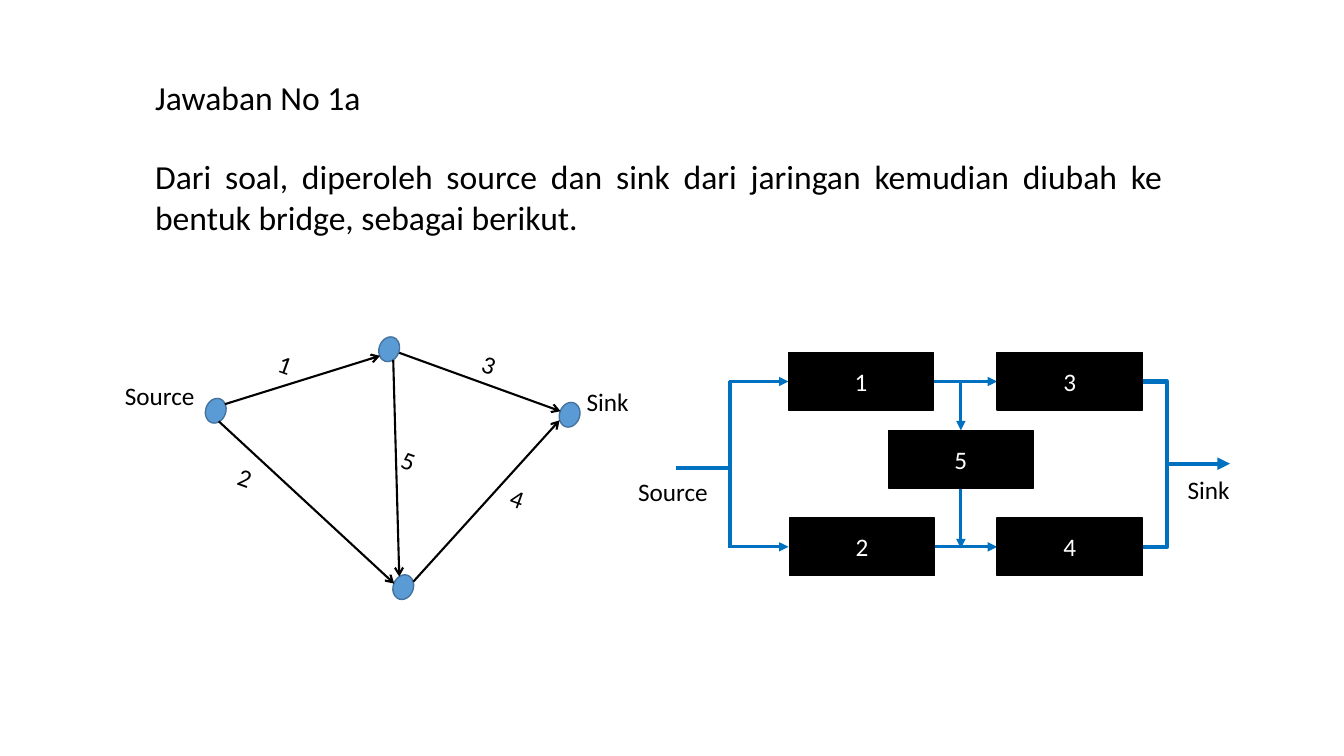
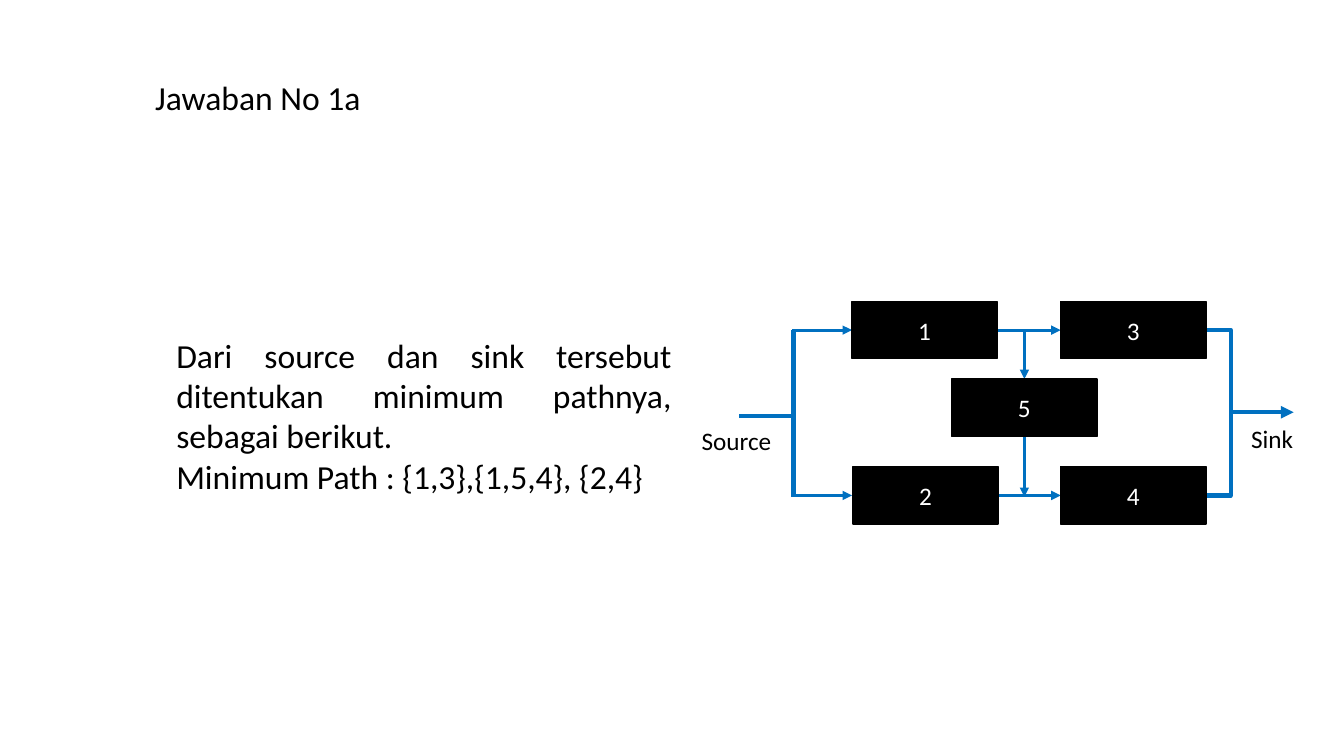
"""Two slides on a network and its bridge form."""
from dataclasses import dataclass

from lxml import etree
from pptx import Presentation
from pptx.dml.color import RGBColor
from pptx.enum.shapes import MSO_CONNECTOR, MSO_SHAPE
from pptx.enum.text import MSO_ANCHOR, MSO_AUTO_SIZE, PP_ALIGN
from pptx.oxml.ns import qn
from pptx.util import Emu, Inches, Pt

STRAIGHT, ELBOW = MSO_CONNECTOR.STRAIGHT, MSO_CONNECTOR.ELBOW
RECTANGLE, OVAL = MSO_SHAPE.RECTANGLE, MSO_SHAPE.OVAL
LEFT, CENTER, JUSTIFY = PP_ALIGN.LEFT, PP_ALIGN.CENTER, PP_ALIGN.JUSTIFY
MIDDLE, GROW = MSO_ANCHOR.MIDDLE, MSO_AUTO_SIZE.SHAPE_TO_FIT_TEXT

SLIDE_WIDTH, SLIDE_HEIGHT = Inches(13.33), Inches(7.5)
GRID_ROWS = 75  # square cells, so the slide is about 133 columns wide
CELL = SLIDE_HEIGHT / GRID_ROWS


@dataclass(frozen=True)
class Theme:
    """Colours, type sizes and line widths of the deck."""
    font: str = "Calibri"
    ink: str = "000000"
    paper: str = "FFFFFF"
    wire: str = "0070C0"
    node: str = "5B9BD5"
    node_edge: str = "43739E"
    body_size: float = 24
    label_size: float = 18
    outline: float = 1
    edge_width: float = 1.5
    wire_width: float = 2.25
    bus_width: float = 3


def cells(*counts):
    """Turn grid counts into slide lengths."""
    return [Emu(round(count * CELL)) for count in counts]


def apply(target, values):
    """Set each named value on the target."""
    for name, value in values.items():
        setattr(target, name, value)


class Deck:
    """Holds the style and the current slide."""

    def __init__(self, theme):
        """Start an empty presentation."""
        self.theme = theme
        self.presentation = Presentation()
        apply(self.presentation, {"slide_width": SLIDE_WIDTH, "slide_height": SLIDE_HEIGHT})
        self.slide = None

    def new_slide(self, title):
        """Add a blank slide with the shared title."""
        self.slide = self.presentation.slides.add_slide(self.presentation.slide_layouts[6])
        self.text((14.4, 7.1, 44.4, 5), [title], self.theme.body_size)

    def fill_frame(self, frame, paragraphs, size, color, align):
        """Fill a text frame with styled paragraphs."""
        frame.text = "\n".join(paragraphs)
        for paragraph in frame.paragraphs:
            paragraph.alignment = align
            apply(paragraph.font, {"name": self.theme.font, "size": Pt(size)})
            paragraph.font.color.rgb = RGBColor.from_string(color)

    def text(self, area, paragraphs, size, align=LEFT, rotation=0):
        """Add a wrapping text box."""
        box = self.slide.shapes.add_textbox(*cells(*area))
        box.rotation = rotation
        apply(box.text_frame, {"word_wrap": True, "auto_size": GROW})
        self.fill_frame(box.text_frame, paragraphs, size, self.theme.ink, align)

    def label(self, left, top, word, width=9.1, rotation=0):
        """Add a small caption."""
        self.text((left, top, width, 4), [word], self.theme.label_size, rotation=rotation)

    def shape(self, kind, area, fill, outline, rotation=0):
        """Add a filled, outlined preset shape."""
        shape = self.slide.shapes.add_shape(kind, *cells(*area))
        shape.rotation = rotation
        shape.shadow.inherit = False
        shape.fill.solid()
        shape.fill.fore_color.rgb = RGBColor.from_string(fill)
        shape.line.color.rgb = RGBColor.from_string(outline)
        shape.line.width = Pt(self.theme.outline)
        return shape

    def block(self, area, word):
        """Add a dark box with a centred number."""
        theme = self.theme
        frame = self.shape(RECTANGLE, area, theme.ink, theme.ink).text_frame
        apply(frame, {"vertical_anchor": MIDDLE, "word_wrap": True})
        self.fill_frame(frame, [word], theme.label_size, theme.paper, CENTER)

    def line(self, ends, color, width, head=None, kind=STRAIGHT):
        """Add a connector, with an arrowhead at its end if one is named."""
        connector = self.slide.shapes.add_connector(kind, *cells(*ends))
        connector.line.color.rgb = RGBColor.from_string(color)
        connector.line.width = Pt(width)
        properties = connector.element.spPr
        if head:
            etree.SubElement(properties.find(qn("a:ln")), qn("a:tailEnd"), type=head)
        etree.SubElement(properties, qn("a:effectLst"))
        return connector

    def bracket(self, left, top, bottom, reach):
        """Join two points on the left by a wire that bulges to the right."""
        step = 0.1
        connector = self.line((left, top, left + step, bottom), self.theme.wire,
                              self.theme.bus_width, kind=ELBOW)
        geometry = connector.element.spPr.find(qn("a:prstGeom"))
        guides = geometry.find(qn("a:avLst"))
        if guides is None:
            guides = etree.SubElement(geometry, qn("a:avLst"))
        etree.SubElement(guides, qn("a:gd"), name="adj1",
                         fmla=f"val {round(reach / step * 100000)}")


def draw_network(deck):
    """Draw the directed network with numbered edges."""
    theme, tilt = deck.theme, 19.9
    for left, top in ((20.4, 39.5), (37.6, 33.4), (55.5, 39.9), (39, 57)):
        deck.shape(OVAL, (left, top, 2, 2.5), theme.node, theme.node_edge, tilt)
    edges = {
        "1": ((22.3, 40.1, 37.7, 35.3), (26.7, 34.2)),
        "2": ((21.7, 41.8, 39.1, 57.9), (22.7, 45.4)),
        "5": ((39, 35.7, 39.6, 57.2), (38.9, 43.7)),
        "3": ((39.6, 35, 55.6, 40.8), (46.9, 34.2)),
        "4": ((41, 57.7, 55.5, 41.7), (49.7, 47.5)),
    }
    for number, (ends, place) in edges.items():
        deck.line(ends, theme.ink, theme.edge_width, "arrow")
        deck.label(*place, number, 3.7, tilt)
    deck.label(11.4, 37.2, "Source")
    deck.label(57.2, 37.8, "Sink")


def draw_bridge(deck, left, top):
    """Draw the bridge circuit; left and top place block 1."""
    theme = deck.theme
    block_width, block_height = 14.4, 5.7
    column_step, row_step, middle_row = 20.7, 16.4, 7.7
    upper = top + block_height / 2
    lower = upper + row_step
    right = left + column_step
    block_end, right_end = left + block_width, right + block_width
    middle = left + 17.1
    middle_top = top + middle_row
    bus, reach = left - 5.8, 2.5
    source, sink = top + 11.4, top + 11

    for ends in ((bus - 5.4, source, bus, source), (bus, upper, bus, lower + 0.15)):
        deck.line(ends, theme.wire, theme.bus_width)
    for wire in (upper, lower):
        deck.line((bus - 0.1, wire, left, wire), theme.wire, theme.wire_width, "triangle")
        deck.line((block_end, wire, right, wire), theme.wire, theme.wire_width, "triangle")
    for start, end in ((upper, middle_top), (middle_top + block_height, lower + 0.15)):
        deck.line((middle, start, middle, end), theme.wire, theme.wire_width, "triangle")
    deck.bracket(right_end, upper, lower, reach)
    deck.line((right_end + reach, sink, right_end + reach + 6.2, sink),
              theme.wire, theme.bus_width, "triangle")

    blocks = {"1": (left, top), "2": (left + 0.1, top + row_step),
              "3": (right, top), "4": (right, top + row_step),
              "5": (middle - block_width / 2, middle_top)}
    for number, place in blocks.items():
        deck.block((*place, block_width, block_height), number)
    deck.label(left - 15.9, top + 11.8, "Source")
    deck.label(left + 38.6, top + 11.6, "Sink")


def main():
    """Build and save the deck."""
    deck = Deck(Theme())
    title = "Jawaban No 1a"

    deck.new_slide(title)
    deck.text((14.4, 15, 101.9, 9.1),
              ["Dari soal, diperoleh source dan sink dari jaringan kemudian diubah ke "
               "bentuk bridge, sebagai berikut."], deck.theme.body_size, JUSTIFY)
    draw_network(deck)
    draw_bridge(deck, 78.2, 35)

    deck.new_slide(title)
    deck.text((16.5, 32.7, 51.1, 17.2),
              ["Dari source dan sink tersebut ditentukan minimum pathnya, sebagai berikut.",
               "Minimum Path : {1,3},{1,5,4}, {2,4}"], deck.theme.body_size, JUSTIFY)
    draw_bridge(deck, 84.5, 29.9)

    deck.presentation.save("out.pptx")


main()
